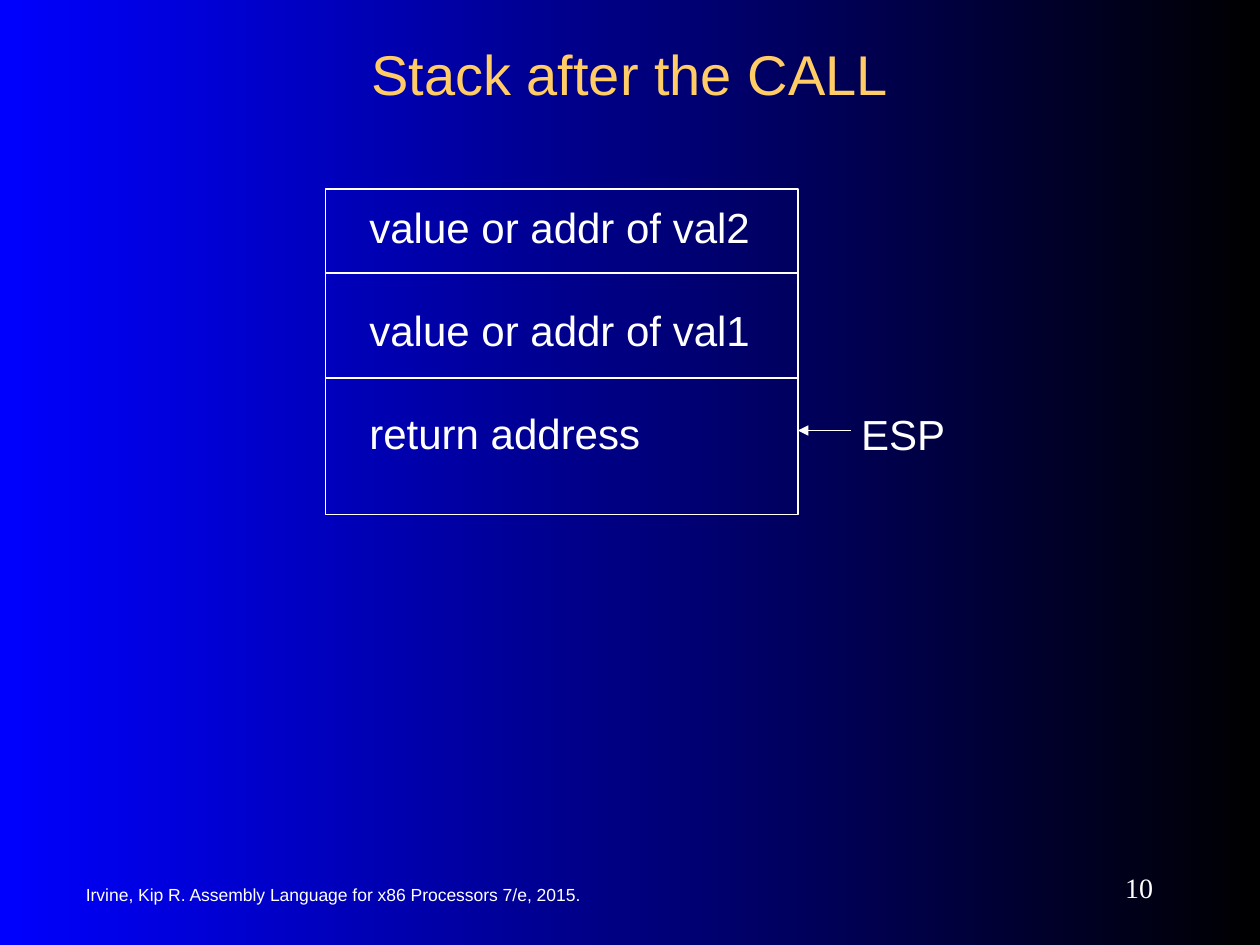
"""Build the slide that shows the stack after the CALL."""
import dataclasses

import lxml.etree
import pptx
import pptx.dml.color
import pptx.enum.shapes
import pptx.enum.text
import pptx.oxml.ns
import pptx.util


@dataclasses.dataclass(frozen=True)
class Theme:
    white: str = "FFFFFF"
    gold: str = "FFCC66"
    blue: str = "0000FF"
    black: str = "000000"
    sans: str = "Arial"
    serif: str = "Times New Roman"
    title: int = 32
    body: int = 24
    page: int = 16
    foot: int = 10
    line: float = 0.75


THEME = Theme()
ALIGN = pptx.enum.text.PP_ALIGN
ANCHOR = pptx.enum.text.MSO_ANCHOR


def points(*nums):
    return [pptx.util.Pt(num) for num in nums]


def color(code):
    return pptx.dml.color.RGBColor.from_string(code)


def paint(slide):
    fill = slide.background.fill
    fill.gradient()
    fill.gradient_angle = 0
    for stop, code in zip(fill.gradient_stops, (THEME.blue, THEME.black)):
        stop.color.rgb = color(code)


def style(shape, text, size, font=THEME.sans, code=THEME.white,
          align=ALIGN.LEFT, anchor=ANCHOR.MIDDLE, gap=0):
    frame = shape.text_frame
    frame.text = text
    frame.word_wrap = True
    frame.vertical_anchor = anchor
    for row, para in enumerate(frame.paragraphs):
        para.alignment = align
        para.space_before = pptx.util.Pt(gap if row else 0)
        for run in para.runs:
            run.font.size = pptx.util.Pt(size)
            run.font.name = font
            run.font.color.rgb = color(code)


def title(slide, text, *place):
    shape = slide.shapes.title
    shape.left, shape.top, shape.width, shape.height = points(*place)
    style(shape, text, THEME.title, code=THEME.gold, align=ALIGN.CENTER)


def label(slide, text, place, size, **look):
    style(slide.shapes.add_textbox(*points(*place)), text, size, **look)


def stroke(shape):
    shape.line.color.rgb = color(THEME.white)
    shape.line.width = pptx.util.Pt(THEME.line)


def frame(slide, *place):
    kind = pptx.enum.shapes.MSO_SHAPE.RECTANGLE
    shape = slide.shapes.add_shape(kind, *points(*place))
    shape.shadow.inherit = False
    shape.fill.background()
    stroke(shape)


def rule(slide, start, end, top, arrow=False):
    kind = pptx.enum.shapes.MSO_CONNECTOR.STRAIGHT
    shape = slide.shapes.add_connector(kind, *points(start, top, end, top))
    stroke(shape)
    name = pptx.oxml.ns.qn
    if arrow:
        tail = lxml.etree.SubElement(shape.line._get_or_add_ln(), name("a:tailEnd"))
        tail.set("type", "triangle")
    lxml.etree.SubElement(shape._element.spPr, name("a:effectLst"))


def main():
    deck = pptx.Presentation()
    deck.slide_width, deck.slide_height = points(720, 540)
    slide = deck.slides.add_slide(deck.slide_layouts[5])
    paint(slide)
    title(slide, "Stack after the CALL", 54, 18, 612, 48)

    left, top, right = 186, 108, 456
    rows = ["value or addr of val2", "value or addr of val1", "return address"]
    label(slide, "\n".join(rows), (204, top + 3.6, 252, 165.6 + 7.2), THEME.body,
          anchor=ANCHOR.TOP, gap=30)
    frame(slide, left, top, right - left, 186)
    for level in (156, 216):
        rule(slide, left, right, level)
    rule(slide, 486, right, 246, arrow=True)
    label(slide, "ESP", (485, 230, 72, 36), THEME.body)

    label(slide, "Irvine, Kip R. Assembly Language for x86 Processors 7/e, 2015.",
          (42, 499, 330, 24), THEME.foot)
    label(slide, "10", (588, 492, 78, 30), THEME.page,
          font=THEME.serif, align=ALIGN.RIGHT)
    deck.save("out.pptx")


if __name__ == "__main__":
    main()
